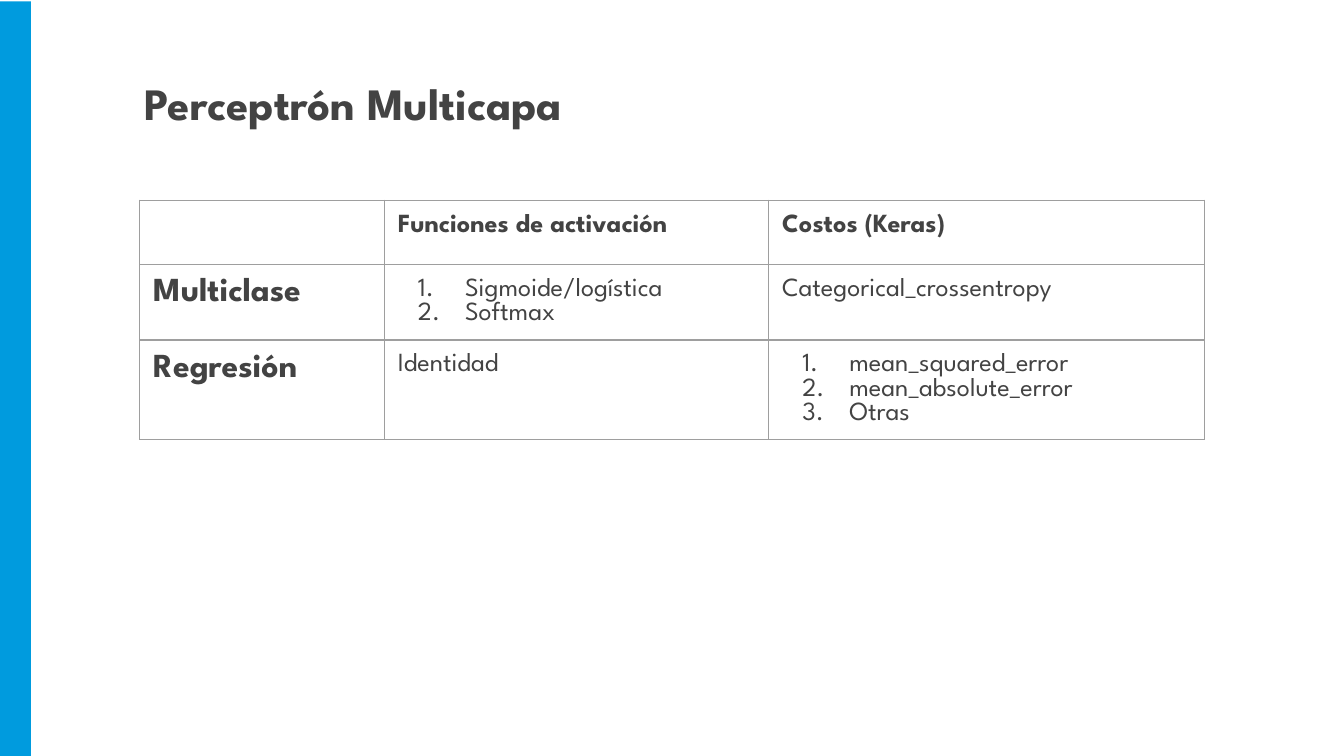
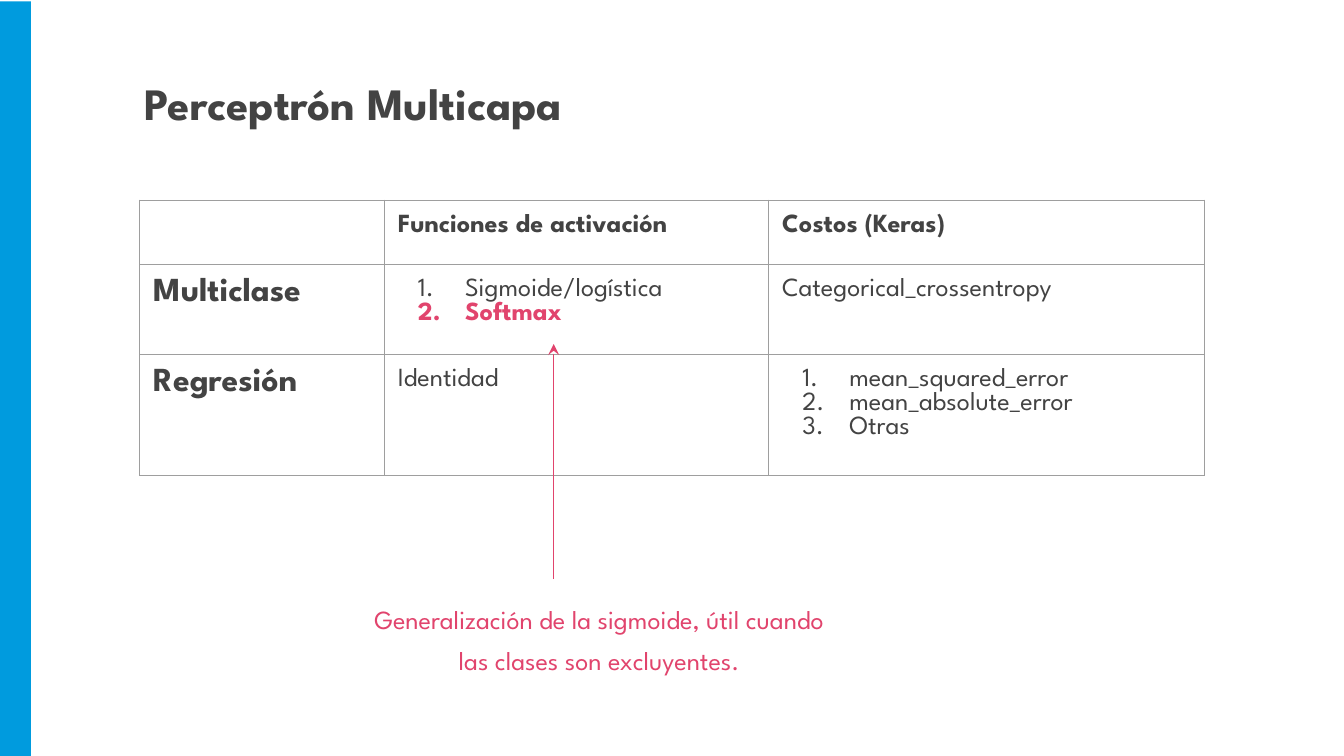
"""Build two slides on activation functions and costs of the multilayer perceptron."""
from dataclasses import dataclass

from lxml import etree
from pptx import Presentation
from pptx.dml.color import RGBColor
from pptx.enum.shapes import MSO_CONNECTOR, MSO_SHAPE
from pptx.enum.text import PP_ALIGN
from pptx.oxml.ns import qn
from pptx.util import Inches, Pt

RECTANGLE = MSO_SHAPE.RECTANGLE
STRAIGHT = MSO_CONNECTOR.STRAIGHT
LEFT, CENTER = PP_ALIGN.LEFT, PP_ALIGN.CENTER

WIDTH = Inches(10)
HEIGHT = WIDTH * 9 // 16
UNIT = WIDTH // 100
FONT = "League Spartan"
COLORS = {"band": "009BDE", "text": "434343", "accent": "E1446D", "grid": "9E9E9E"}
BODY_SIZE, ROW_LABEL_SIZE, TITLE_SIZE = 14, 18, 24
BOX_SPACING = 1.33
HAIRLINE = Pt(0.75)
PADDING = 1
COLUMN_SPANS = (18.2, 28.6, 32.4)
ROW_SPANS = (4.8, 5.6, 7.4)


@dataclass(frozen=True)
class Area:
    """Place on a square grid of 100 columns."""

    column: float
    row: float
    columns: float
    rows: float

    def emu(self) -> tuple[int, int, int, int]:
        """Return left, top, width and height."""
        return units(self.column), units(self.row), units(self.columns), units(self.rows)


@dataclass(frozen=True)
class Line:
    """One paragraph of text and its look."""

    text: str
    size: int = BODY_SIZE
    bold: bool = False
    color: str = "text"
    numbered: bool = False


BAND = Area(0, 0.1, 2.3, 56.2)
TITLE = Area(9.8, 3.3, 86.2, 6.4)
TABLE = Area(10.4, 14.9, sum(COLUMN_SPANS), sum(ROW_SPANS))
NOTE = Area(26.8, 43.1, 35.6, 6.8)
ARROW_COLUMN, ARROW_TIP_ROW = 41.2, 25.6


def units(count: float) -> int:
    """Convert grid units to EMU."""
    return round(count * UNIT)


def rgb(name: str) -> RGBColor:
    """Look up a palette colour."""
    return RGBColor.from_string(COLORS[name])


def solid(parent, color: str) -> None:
    """Append a solid fill to an XML element."""
    fill = etree.SubElement(parent, qn("a:solidFill"))
    etree.SubElement(fill, qn("a:srgbClr"), val=COLORS[color])


def number(paragraph, color: str) -> None:
    """Turn a paragraph into an item of a numbered list."""
    properties = paragraph._p.get_or_add_pPr()
    properties.set("marL", str(units(5)))
    properties.set("indent", str(units(-3.5)))
    bullet_color = etree.SubElement(properties, qn("a:buClr"))
    etree.SubElement(bullet_color, qn("a:srgbClr"), val=COLORS[color])
    etree.SubElement(properties, qn("a:buFont"), typeface=FONT)
    etree.SubElement(properties, qn("a:buAutoNum"), type="arabicPeriod")


def write(frame, lines: list[Line], align=LEFT, spacing: float = 1.0) -> None:
    """Fill a text frame with paragraphs."""
    frame.word_wrap = True
    for index, line in enumerate(lines):
        paragraph = frame.paragraphs[0] if index == 0 else frame.add_paragraph()
        paragraph.alignment = align
        paragraph.line_spacing = spacing
        if line.numbered:
            number(paragraph, line.color)
        run = paragraph.add_run()
        run.text = line.text
        run.font.name = FONT
        run.font.size = Pt(line.size)
        run.font.bold = line.bold
        run.font.color.rgb = rgb(line.color)


def pad(target) -> None:
    """Give a cell or text frame equal insets."""
    target.margin_left = target.margin_right = units(PADDING)
    target.margin_top = target.margin_bottom = units(PADDING)


def add_text(slide, area: Area, line: Line, align=LEFT) -> None:
    """Add a one-paragraph text box."""
    frame = slide.shapes.add_textbox(*area.emu()).text_frame
    pad(frame)
    write(frame, [line], align, BOX_SPACING)


def outline(cell) -> None:
    """Draw the four borders of a cell."""
    properties = cell._tc.get_or_add_tcPr()
    for index, side in enumerate("LRTB"):
        border = etree.Element(qn(f"a:ln{side}"), w=str(HAIRLINE))
        solid(border, "grid")
        properties.insert(index, border)


def add_table(slide, contents: list[list[list[Line]]]) -> None:
    """Add the comparison table."""
    table = slide.shapes.add_table(len(ROW_SPANS), len(COLUMN_SPANS), *TABLE.emu()).table
    table.first_row = table.horz_banding = False
    for column, span in zip(table.columns, COLUMN_SPANS):
        column.width = units(span)
    for row, span, row_lines in zip(table.rows, ROW_SPANS, contents):
        row.height = units(span)
        for cell, lines in zip(row.cells, row_lines):
            cell.fill.background()
            pad(cell)
            outline(cell)
            write(cell.text_frame, lines)
            if not lines:
                empty = cell.text_frame.paragraphs[0]._p
                etree.SubElement(empty, qn("a:endParaRPr"), sz=str(BODY_SIZE * 100))


def numbered(*texts: str) -> list[Line]:
    """Make the lines of a numbered list."""
    return [Line(text, numbered=True) for text in texts]


def add_comparison(deck, highlight: bool) -> None:
    """Add a slide with the table, with or without the softmax note."""
    slide = deck.slides.add_slide(deck.slide_layouts[6])
    band = slide.shapes.add_shape(RECTANGLE, *BAND.emu())
    band.shadow.inherit = False
    band.fill.solid()
    band.fill.fore_color.rgb = rgb("band")
    band.line.fill.background()
    softmax = Line("Softmax", bold=highlight, numbered=True,
                   color="accent" if highlight else "text")
    add_table(slide, [
        [[], [Line("Funciones de activación", bold=True)], [Line("Costos (Keras)", bold=True)]],
        [[Line("Multiclase", ROW_LABEL_SIZE, True)],
         numbered("Sigmoide/logística") + [softmax],
         [Line("Categorical_crossentropy")]],
        [[Line("Regresión", ROW_LABEL_SIZE, True)],
         [Line("Identidad")],
         numbered("mean_squared_error", "mean_absolute_error", "Otras")],
    ])
    add_text(slide, TITLE, Line("Perceptrón Multicapa", TITLE_SIZE, True))
    if highlight:
        add_note(slide)


def add_note(slide) -> None:
    """Add the softmax explanation and its arrow."""
    explanation = "Generalización de la sigmoide, útil cuando las clases son excluyentes."
    add_text(slide, NOTE, Line(explanation, color="accent"), CENTER)
    arrow = slide.shapes.add_connector(
        STRAIGHT, units(ARROW_COLUMN), units(NOTE.row), units(ARROW_COLUMN), units(ARROW_TIP_ROW))
    arrow.line.color.rgb = rgb("accent")
    arrow.line.width = HAIRLINE
    etree.SubElement(arrow.line._get_or_add_ln(), qn("a:tailEnd"), type="stealth")
    etree.SubElement(arrow._element.spPr, qn("a:effectLst"))


def main() -> None:
    """Build and save the deck."""
    deck = Presentation()
    deck.slide_width, deck.slide_height = WIDTH, HEIGHT
    for highlight in (False, True):
        add_comparison(deck, highlight)
    deck.save("out.pptx")


if __name__ == "__main__":
    main()
